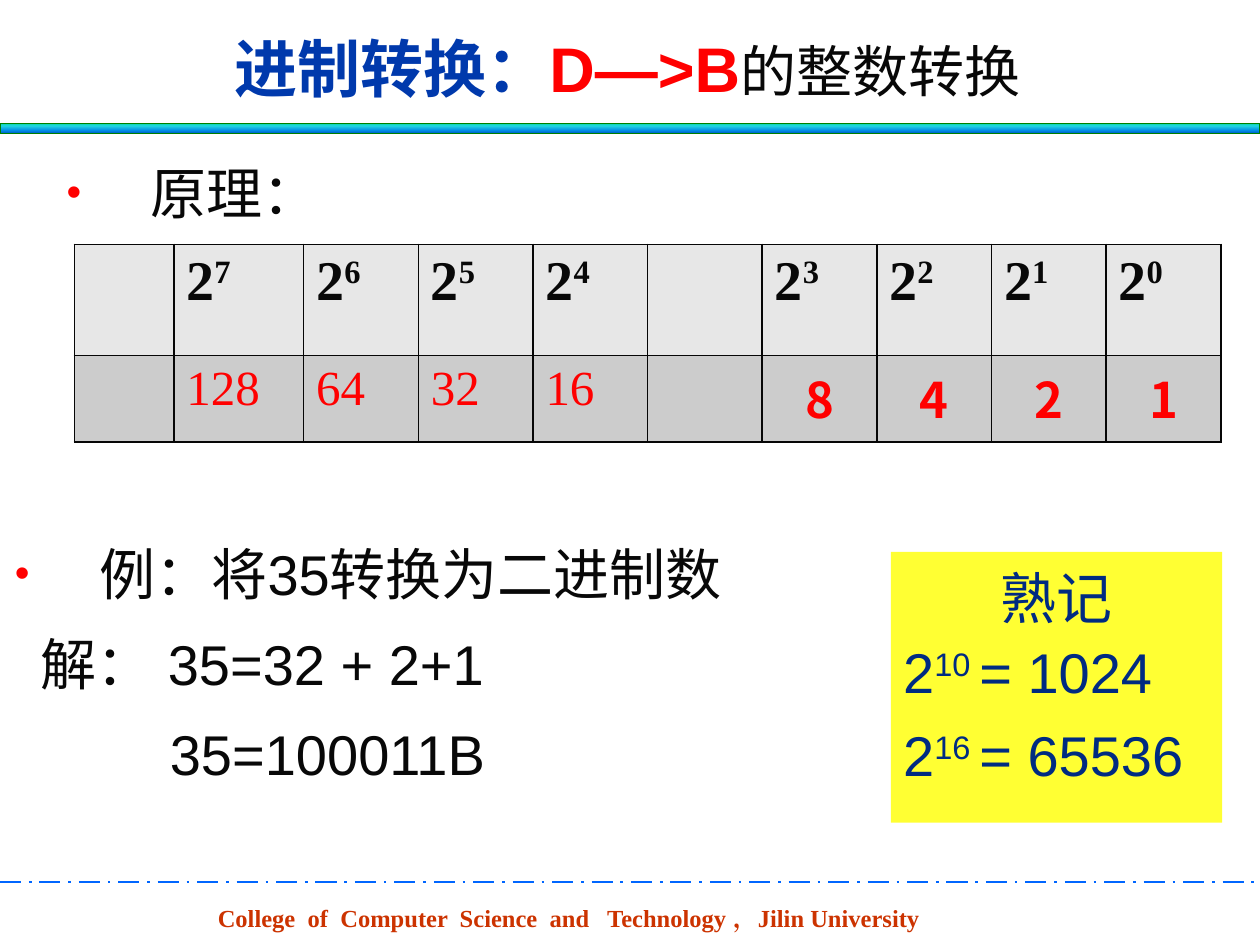
from dataclasses import dataclass

import pptx
import pptx.util
from lxml import etree
from pptx.dml.color import RGBColor
from pptx.enum.dml import MSO_LINE
from pptx.enum.shapes import MSO_CONNECTOR, MSO_SHAPE
from pptx.enum.text import MSO_ANCHOR, PP_ALIGN
from pptx.oxml.ns import qn

Inches = pptx.util.Inches
Pt = pptx.util.Pt

ARIAL, TIMES, CJK = "Arial", "Times New Roman", "Noto Sans CJK SC"
INK, RED, NAVY = "080808", "FF0000", "002B81"


@dataclass
class Run:
    text: str
    size: float = 32
    font: str = ARIAL
    color: str = INK
    bold: bool = False
    raised: bool = False


@dataclass
class Para:
    runs: list[Run]
    align: PP_ALIGN = PP_ALIGN.LEFT
    before: float = 0
    after: float = 0
    margin: float = 0
    bullet: bool = False


def rgb(color: str) -> RGBColor:
    return RGBColor.from_string(color)


def add_xml(parent, tag: str, **attributes: str):
    element = etree.SubElement(parent, qn(tag))
    for key, value in attributes.items():
        element.set(key, value)
    return element


def add_bullet(paragraph) -> None:
    properties = paragraph._p.get_or_add_pPr()
    properties.set("indent", str(-Inches(0.67)))
    add_xml(add_xml(properties, "a:buClr"), "a:srgbClr", val=RED)
    add_xml(properties, "a:buSzPct", val="75000")
    add_xml(properties, "a:buFont", typeface=ARIAL)
    add_xml(properties, "a:buChar", char="•")


def write(frame, paras: list[Para]) -> None:
    for index, para in enumerate(paras):
        paragraph = frame.add_paragraph() if index else frame.paragraphs[0]
        paragraph.alignment = para.align
        paragraph.space_before = Pt(para.before)
        paragraph.space_after = Pt(para.after)
        paragraph._p.get_or_add_pPr().set("marL", str(Inches(para.margin)))
        if para.bullet:
            add_bullet(paragraph)
        for part in para.runs:
            run = paragraph.add_run()
            run.text = part.text
            run.font.size = Pt(part.size)
            run.font.bold = part.bold
            run.font.color.rgb = rgb(part.color)
            run.font.name = part.font
            add_xml(run._r.rPr, "a:ea", typeface=part.font)
            if part.raised:
                run._r.rPr.set("baseline", "30000")


def add_text(slide, left: float, top: float, width: float, height: float,
             paras: list[Para], anchor=MSO_ANCHOR.TOP, top_inset: float = 0.05) -> None:
    box = slide.shapes.add_textbox(Inches(left), Inches(top), Inches(width), Inches(height))
    frame = box.text_frame
    frame.word_wrap = True
    frame.vertical_anchor = anchor
    frame.margin_top = Inches(top_inset)
    write(frame, paras)


def add_rectangle(slide, left: float, top: float, width: float, height: float):
    shape = slide.shapes.add_shape(MSO_SHAPE.RECTANGLE, Inches(left), Inches(top),
                                   Inches(width), Inches(height))
    shape.shadow.inherit = False
    return shape


def style_cell(cell, fill: str) -> None:
    properties = cell._tc.get_or_add_tcPr()
    for side in ("a:lnL", "a:lnR", "a:lnT", "a:lnB"):
        border = add_xml(properties, side, w=str(Pt(1)))
        add_xml(add_xml(border, "a:solidFill"), "a:srgbClr", val="060606")
    cell.fill.solid()
    cell.fill.fore_color.rgb = rgb(fill)


def power(exponent: str, **style) -> list[Run]:
    return [Run("2", **style), Run(exponent, raised=True, **style)]


def add_weights_table(slide) -> None:
    exponents = [None, 7, 6, 5, 4, None, 3, 2, 1, 0]
    table = slide.shapes.add_table(2, len(exponents), Inches(0.59), Inches(1.94),
                                   Inches(9.11), Inches(1.57)).table
    for row, height in zip(table.rows, (0.88, 0.69)):
        row.height = Inches(height)
    for column, width in zip(table.columns, [0.79, 1.03] + [0.91] * 8):
        column.width = Inches(width)
    for index, exponent in enumerate(exponents):
        heading, weight = table.cell(0, index), table.cell(1, index)
        style_cell(heading, "E7E7E7")
        style_cell(weight, "CCCCCC")
        if exponent is None:
            continue
        write(heading.text_frame, [Para(power(str(exponent), font=TIMES, bold=True))])
        low = exponent < 4
        value = Run(str(2 ** exponent), 28, CJK if low else TIMES, RED, bold=low)
        write(weight.text_frame, [Para([value], PP_ALIGN.CENTER if low else PP_ALIGN.LEFT)])


def main() -> None:
    deck = pptx.Presentation()
    deck.slide_width, deck.slide_height = Inches(10), Inches(7.5)
    slide = deck.slides.add_slide(deck.slide_layouts[6])

    # Footer
    add_text(slide, 1.63, 7.12, 5.92, 0.33, [Para([
        Run("College  of  Computer  Science  and   Technology ，Jilin University",
            14, TIMES, "CC3300", bold=True)])])
    footer_rule = slide.shapes.add_connector(MSO_CONNECTOR.STRAIGHT, Inches(0), Inches(7),
                                             Inches(10), Inches(7))
    footer_rule.line.color.rgb = rgb("0066FF")
    footer_rule.line.width = Pt(1.5)
    footer_rule.line.dash_style = MSO_LINE.LONG_DASH_DOT
    add_xml(footer_rule._element.spPr, "a:effectLst")

    # Gradient bar under the title
    title_bar = add_rectangle(slide, 0, 0.98, 10, 0.08)
    title_bar.line.color.rgb = rgb("008000")
    title_bar.line.width = Pt(0.75)
    title_bar.fill.gradient()
    title_bar.fill.gradient_angle = 270
    stops = title_bar._element.spPr.find(qn("a:gradFill")).find(qn("a:gsLst"))
    for stop in list(stops):
        stops.remove(stop)
    for percent, color in ((0, "03D4A8"), (25, "21D6E0"), (75, "0087E6"), (100, "005CBF")):
        add_xml(add_xml(stops, "a:gs", pos=str(percent * 1000)), "a:srgbClr", val=color)

    # Title
    add_text(slide, 0.27, 0.18, 9.42, 0.71, [Para([
        Run("进制转换：", 36, CJK, "0039AC", bold=True),
        Run("D—>B", 36, ARIAL, RED, bold=True),
        Run("的整数转换")], PP_ALIGN.CENTER)], MSO_ANCHOR.MIDDLE)

    # Principle and table of weights
    add_text(slide, 0.43, 1.17, 9.27, 0.77,
             [Para([Run("原理：")], margin=0.67, bullet=True)], top_inset=0.09)
    add_weights_table(slide)

    # Worked example
    add_text(slide, 0.02, 4.19, 6.1, 2.15, [
        Para([Run("例：将35转换为二进制数")], after=4, margin=0.67, bullet=True),
        Para([Run("解： 35=32 + 2+1")], before=9, after=4, margin=0.2),
        Para([Run("35=100011B")], before=9, after=4, margin=1.23)], top_inset=0.09)

    # Powers to memorise
    memo = add_rectangle(slide, 7.07, 4.38, 2.63, 2.15)
    memo.fill.solid()
    memo.fill.fore_color.rgb = rgb("FFFF33")
    memo.line.fill.background()
    memo.text_frame.vertical_anchor = MSO_ANCHOR.TOP
    memo.text_frame.margin_top = Inches(0.09)
    write(memo.text_frame, [
        Para([Run("熟记", color=NAVY)], PP_ALIGN.CENTER, after=4),
        Para(power("10 ", color=NAVY) + [Run("= 1024", color=NAVY)]),
        Para(power("16 ", color=NAVY) + [Run("= 65536", color=NAVY)], before=9, after=4)])

    deck.save("out.pptx")


if __name__ == "__main__":
    main()
